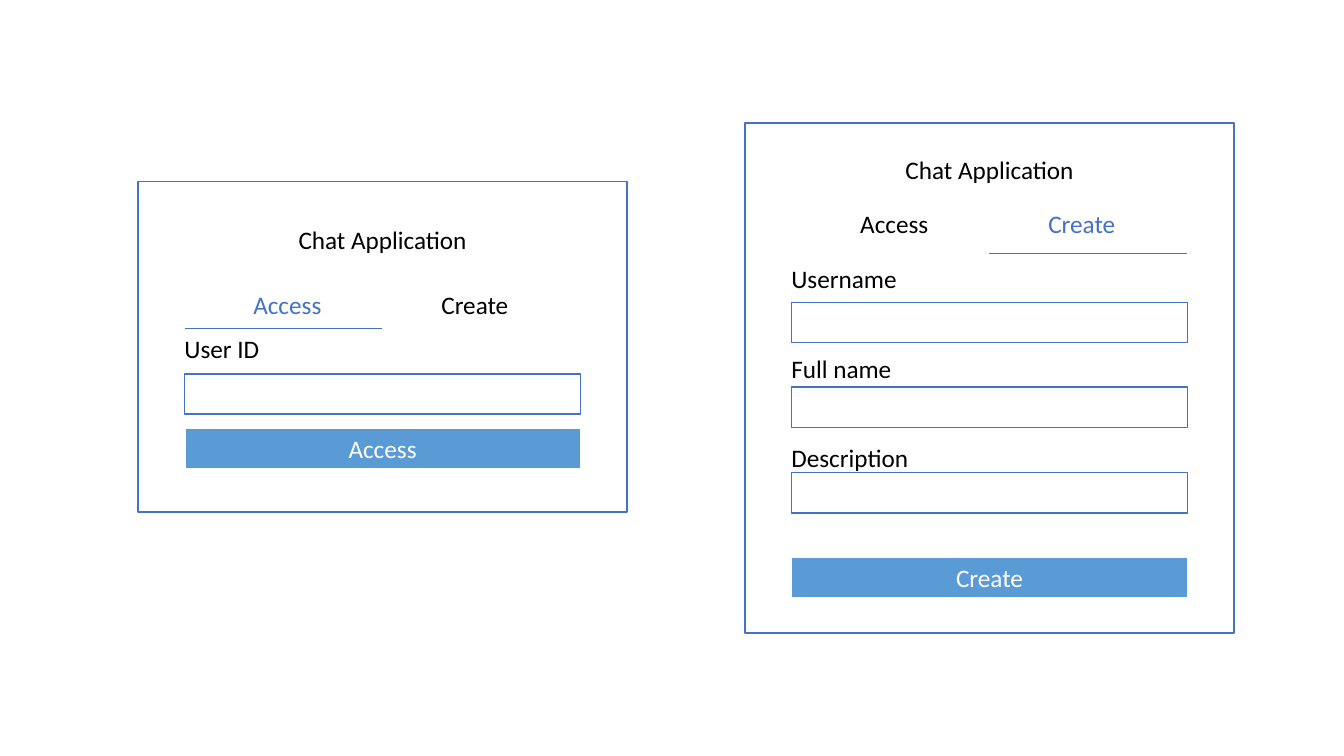
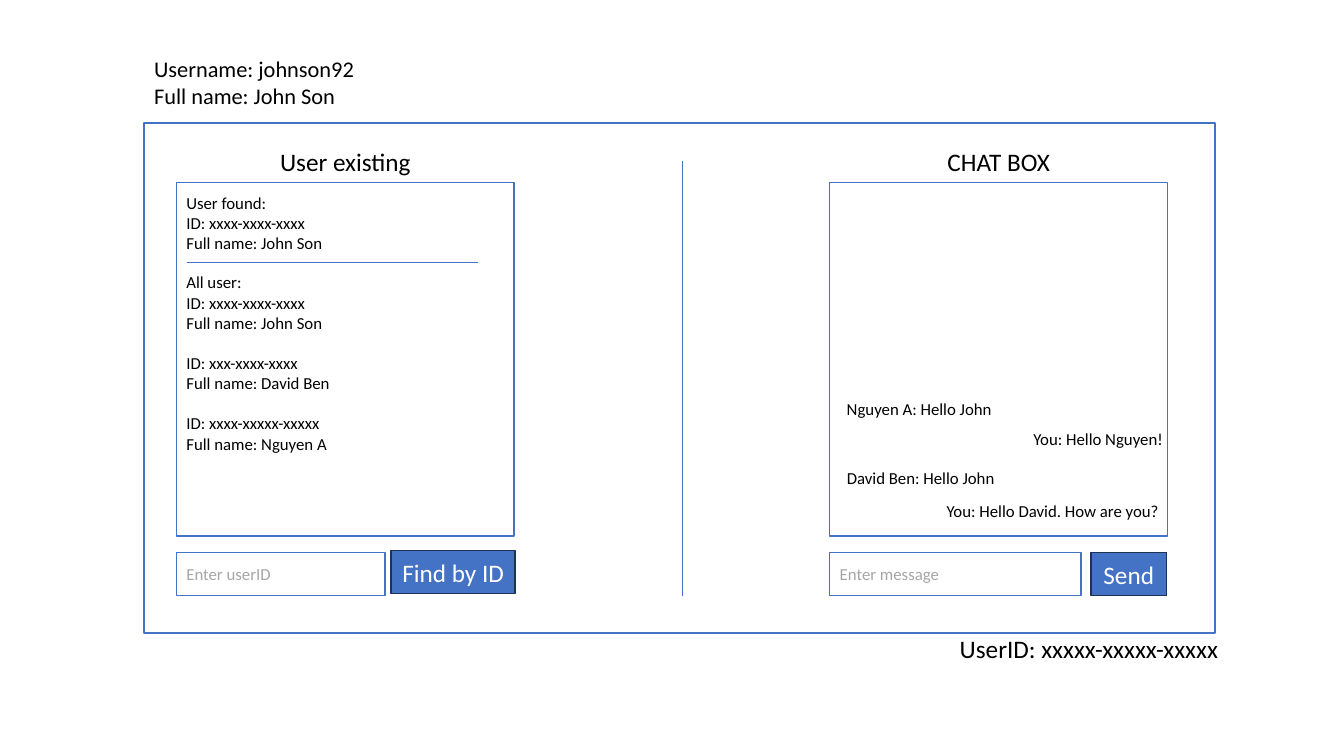
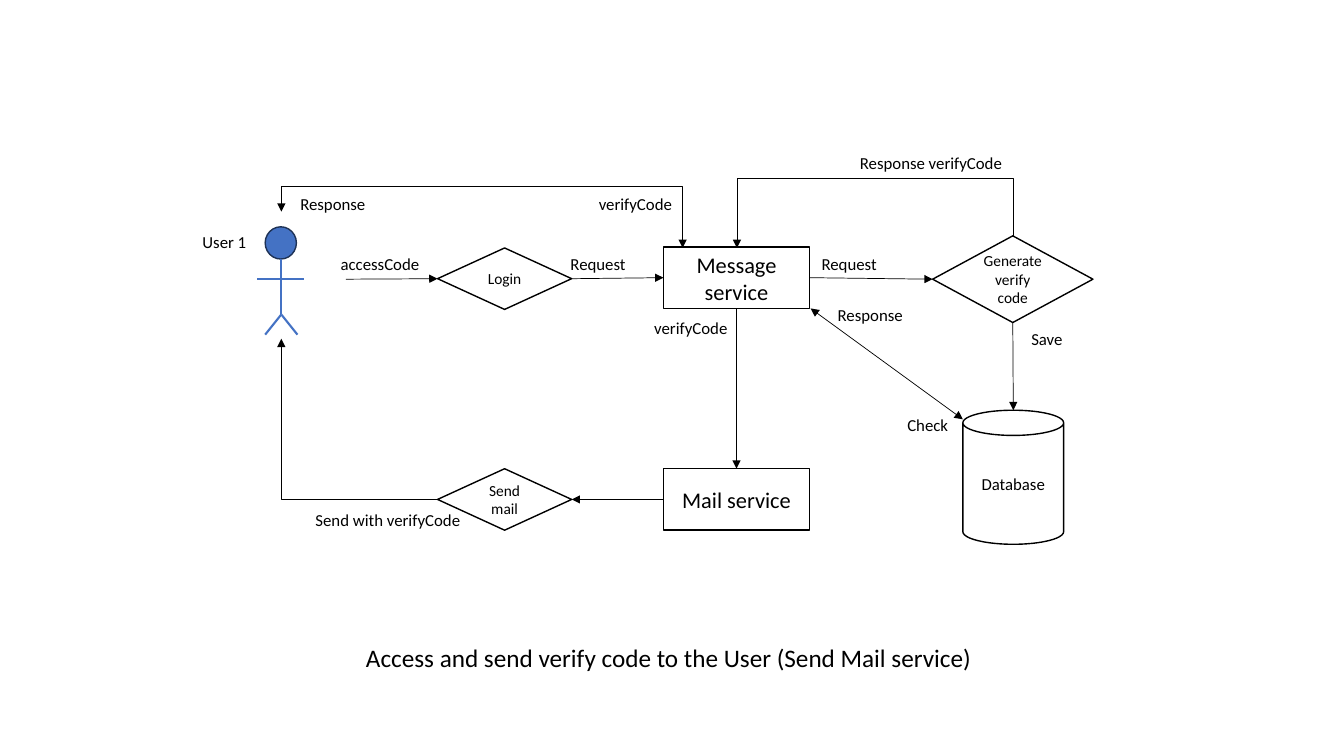
from dataclasses import dataclass

from lxml.etree import SubElement
from pptx import Presentation
from pptx.dml.color import RGBColor
from pptx.enum.shapes import MSO_CONNECTOR as Link, MSO_SHAPE as Preset
from pptx.enum.text import MSO_ANCHOR as Anchor, MSO_AUTO_SIZE as Fit, PP_ALIGN as Align
from pptx.oxml.ns import qn
from pptx.util import Inches, Pt

TOP, LEFT, BOTTOM, RIGHT = range(4)
BLANK, TITLE_ONLY = 6, 5


@dataclass(frozen=True)
class Theme:
    font: str = "Calibri"
    ink: str = "000000"
    paper: str = "FFFFFF"
    accent: str = "4472C4"
    accent_edge: str = "1E3256"
    action: str = "5B9BD5"
    hint: str = "A6A6A6"
    heading: int = 18
    node: int = 16
    note: int = 12
    small: int = 11
    thin: float = 0.5
    outline: float = 1
    thick: float = 1.5


def set_format(target, values):
    for name, value in values.items():
        setattr(target, name, value)


class Sketch:
    """Holds the theme and the slide being drawn."""

    def __init__(self, theme):
        self.theme = theme
        self.deck = Presentation()
        set_format(self.deck, {"slide_width": Inches(13.33), "slide_height": Inches(7.5)})
        self.slide = None

    def new_slide(self, layout=BLANK):
        self.slide = self.deck.slides.add_slide(self.deck.slide_layouts[layout])

    def set_text(self, frame, text, size, color, align):
        """One paragraph per line; an empty line becomes space before the next."""
        for block_index, block in enumerate(text.split("\n\n")):
            for line_index, line in enumerate(block.split("\n")):
                first = block_index == line_index == 0
                paragraph = frame.paragraphs[0] if first else frame.add_paragraph()
                paragraph.alignment = align
                if block_index and line_index == 0:
                    paragraph.space_before = Pt(size * 1.2)
                run = paragraph.add_run()
                run.text = line
                set_format(run.font, {"name": self.theme.font, "size": Pt(size)})
                run.font.color.rgb = RGBColor.from_string(color)

    def label(self, text, left, top, width, height=0.3, size=None, color=None,
              align=Align.LEFT, wrap=False):
        box = self.slide.shapes.add_textbox(*map(Inches, (left, top, width, height)))
        set_format(box.text_frame, {"word_wrap": wrap, "auto_size": Fit.SHAPE_TO_FIT_TEXT,
                                    "vertical_anchor": Anchor.TOP})
        self.set_text(box.text_frame, text, size or self.theme.note,
                      color or self.theme.ink, align)

    def heading(self, text, left, top, width, **style):
        self.label(text, left, top, width, 0.4, self.theme.heading, **style)

    def title(self, text, left, top, width, height):
        title = self.slide.shapes.title
        set_format(title, {"left": Inches(left), "top": Inches(top),
                           "width": Inches(width), "height": Inches(height)})
        set_format(title.text_frame, {"word_wrap": False, "auto_size": Fit.NONE,
                                      "vertical_anchor": Anchor.TOP})
        self.set_text(title.text_frame, text, self.theme.heading, self.theme.ink,
                      Align.LEFT)

    def box(self, left, top, width, height, text="", preset=Preset.RECTANGLE, fill=None,
            edge=None, weight=None, size=None, color=None, align=Align.CENTER, inset=0.1):
        theme = self.theme
        shape = self.slide.shapes.add_shape(preset, *map(Inches, (left, top, width, height)))
        shape.shadow.inherit = False
        shape.fill.solid()
        shape.fill.fore_color.rgb = RGBColor.from_string(fill or theme.paper)
        shape.line.color.rgb = RGBColor.from_string(edge or theme.accent)
        shape.line.width = Pt(weight or theme.outline)
        if text:
            set_format(shape.text_frame, {"word_wrap": True,
                                          "vertical_anchor": Anchor.MIDDLE,
                                          "margin_left": Inches(inset),
                                          "margin_right": Inches(inset)})
            self.set_text(shape.text_frame, text, size or theme.heading,
                          color or theme.paper, align)
        return shape

    def entry_field(self, left, top, width, height, hint):
        self.box(left, top, width, height, hint, size=self.theme.note,
                 color=self.theme.hint, align=Align.LEFT)

    def button(self, left, top, width, height, text):
        self.box(left, top, width, height, text, fill=self.theme.accent,
                 edge=self.theme.accent_edge, inset=0.05)

    def node(self, text, left, top, width, height, preset=Preset.RECTANGLE, size=None):
        return self.box(left, top, width, height, text, preset, edge=self.theme.ink,
                        size=size or self.theme.node, color=self.theme.ink)

    def finish_line(self, connector, color, weight, ends):
        connector.line.color.rgb = RGBColor.from_string(color)
        connector.line.width = Pt(weight)
        properties = connector._element.spPr
        for end in ends:
            SubElement(properties.find(qn("a:ln")), qn(f"a:{end}End"), type="triangle")
        SubElement(properties, qn("a:effectLst"))

    def line(self, start, end, color=None, weight=None, ends=()):
        connector = self.slide.shapes.add_connector(
            Link.STRAIGHT, *map(Inches, (*start, *end)))
        self.finish_line(connector, color or self.theme.accent,
                         weight or self.theme.thin, ends)
        return connector

    def arrow(self, start, end, source=None, target=None, ends=("tail",)):
        """source and target are (shape, side) pairs to join."""
        connector = self.line(start, end, self.theme.ink, ends=ends)
        if source:
            connector.begin_connect(*source)
        if target:
            connector.end_connect(*target)

    def elbow(self, left, top, width, height, preset, turn, flips="", bends=(),
              ends=("tail",)):
        connector = self.slide.shapes.add_connector(
            Link.ELBOW, *map(Inches, (left, top, left + width, top + height)))
        properties = connector._element.spPr
        frame = properties.find(qn("a:xfrm"))
        frame.set("rot", str(turn * 60000))
        for flip in flips:
            frame.set(f"flip{flip}", "1")
        geometry = properties.find(qn("a:prstGeom"))
        geometry.set("prst", preset)
        for number, bend in enumerate(bends, 1):
            SubElement(geometry.find(qn("a:avLst")), qn("a:gd"), name=f"adj{number}",
                       fmla=f"val {round(bend * 100000)}")
        self.finish_line(connector, self.theme.ink, self.theme.thin, ends)


# Slide 1: sign-in and sign-up cards
def form_card(sketch, left, top, height, title_top, tabs_top, rule_top, active, fields,
              button_top):
    theme = sketch.theme
    inner, inner_width, tab_step = left + 0.46, 3.93, 1.96
    sketch.box(left, top, 4.85, height)
    sketch.heading("Chat Application", inner, title_top, inner_width,
                   align=Align.CENTER, wrap=True)
    for index, tab in enumerate(("Access", "Create")):
        sketch.heading(tab, left + 0.56 + index * 1.86, tabs_top, 1.84, align=Align.CENTER,
                       wrap=True, color=theme.accent if tab == active else theme.ink)
        if tab == active:
            rule_left = inner + index * tab_step
            sketch.line((rule_left, rule_top), (rule_left + tab_step, rule_top))
    for caption, caption_top, caption_width, field_top in fields:
        sketch.box(inner, field_top, inner_width, 0.4)
        sketch.heading(caption, left + 0.36, caption_top, caption_width)
    sketch.box(inner, button_top, inner_width, 0.4, active, fill=theme.action,
               edge=theme.paper, weight=theme.thick)


def entry_slide(sketch):
    sketch.new_slide()
    form_card(sketch, 1.37, 1.8, 3.28, 2.18, 2.82, 3.26, "Access",
              [("User ID", 3.26, 0.95, 3.71)], 4.25)
    form_card(sketch, 7.39, 1.22, 5.06, 1.48, 2.02, 2.51, "Create",
              [("Username", 2.56, 1.26, 3), ("Full name", 3.46, 1.21, 3.84),
               ("Description", 4.34, 1.38, 4.69)], 5.53)


# Slide 2: chat window
def chat_slide(sketch):
    sketch.new_slide()
    sketch.box(1.43, 1.22, 10.62, 5.06)
    sketch.label("Username: johnson92\nFull name: John Son", 1.43, 0.5, 2.21, 0.64,
                 size=sketch.theme.node)
    sketch.heading("UserID: xxxxx-xxxxx-xxxxx", 9.42, 6.23, 2.81)
    sketch.line((6.77, 1.6), (6.77, 5.91))

    # Panels with their input fields
    for name, name_left, name_width, left, hint, hint_width in (
            ("User existing", 2.67, 1.51, 1.75, "Enter userID", 2.07),
            ("CHAT BOX", 9.29, 1.23, 8.23, "Enter message", 2.49)):
        sketch.heading(name, name_left, 1.4, name_width, align=Align.CENTER)
        sketch.box(left, 1.81, 3.35, 3.51)
        sketch.entry_field(left, 5.48, hint_width, 0.43, hint)
    sketch.button(3.88, 5.46, 1.23, 0.43, "Find by ID")
    sketch.button(10.82, 5.48, 0.75, 0.43, "Send")

    # Users
    sketch.label("User found:\nID: xxxx-xxxx-xxxx\nFull name: John Son",
                 1.75, 1.86, 1.57, 0.71)
    sketch.line((1.85, 2.6), (4.74, 2.6))
    sketch.label("All user:\nID: xxxx-xxxx-xxxx\nFull name: John Son\n\n"
                 "ID: xxx-xxxx-xxxx\nFull name: David Ben\n\n"
                 "ID: xxxx-xxxxx-xxxxx\nFull name: Nguyen A", 1.75, 2.65, 1.64, 1.92)

    # Messages
    for message, left, top, width in (
            ("Nguyen A: Hello John", 8.3, 3.91, 1.66),
            ("You: Hello Nguyen!", 10.15, 4.2, 1.5),
            ("David Ben: Hello John", 8.3, 4.59, 1.68),
            ("You: Hello David. How are you?", 9.29, 4.92, 2.33)):
        sketch.label(message, left, top, width)


# Slide 3: verification flow
def flow_slide(sketch):
    theme = sketch.theme
    sketch.new_slide(TITLE_ONLY)
    sketch.title("Access and send verify code to the User (Send Mail service)",
                 3.53, 6.32, 6.28, 0.4)

    # User figure
    sketch.box(2.63, 2.25, 0.31, 0.32, preset=Preset.OVAL, fill=theme.accent,
               edge=theme.accent_edge)
    hip = (2.79, 3.12)
    for start, end in (((2.79, 2.57), hip), (hip, (2.63, 3.32)), (hip, (2.95, 3.32)),
                       ((2.55, 2.77), (3.02, 2.77))):
        sketch.line(start, end, weight=theme.thick)

    # Steps and services
    message = sketch.node("Message service", 6.58, 2.45, 1.45, 0.61)
    mail = sketch.node("Mail service", 6.58, 4.65, 1.45, 0.61)
    login = sketch.node("Login", 4.34, 2.46, 1.33, 0.61, Preset.DIAMOND, theme.small)
    send = sketch.node("Send mail", 4.34, 4.65, 1.33, 0.61, Preset.DIAMOND, theme.small)
    generate = sketch.node("Generate verify code", 9.25, 2.34, 1.59, 0.86,
                           Preset.DIAMOND, theme.small)
    sketch.node("Database", 9.55, 4.07, 1, 1.33, Preset.CAN, theme.note)

    # Straight arrows
    sketch.arrow((3.43, 2.77), (4.34, 2.76), target=(login, LEFT))
    sketch.arrow((5.67, 2.77), (6.58, 2.76), (login, RIGHT), (message, LEFT))
    sketch.arrow((8.04, 2.76), (9.25, 2.77), (message, RIGHT), (generate, LEFT))
    sketch.arrow((7.31, 3.06), (7.31, 4.65), (message, BOTTOM), (mail, TOP))
    sketch.arrow((6.58, 4.95), (5.67, 4.95), (mail, LEFT), (send, RIGHT))
    sketch.arrow((10.05, 3.2), (10.05, 4.07), (generate, BOTTOM))
    sketch.arrow((8.04, 3.06), (9.55, 4.16), ends=("head", "tail"))

    # Bent arrows
    sketch.elbow(8.62, 1.03, 0.12, 2.74, "bentConnector3", 270, "HV", [-4.76])
    sketch.elbow(2.79, 3.36, 1.55, 1.59, "bentConnector2", 180)
    sketch.elbow(4.6, 0.29, 0.36, 3.98, "bentConnector4", 270, "H", [-0.69, 1],
                 ends=("head", "tail"))

    # Labels
    for text, left, top, width in (
            ("User 1", 1.91, 2.25, 0.64), ("accessCode", 3.28, 2.47, 0.99),
            ("Request", 5.56, 2.47, 0.75), ("Request", 8.05, 2.47, 0.75),
            ("Response verifyCode", 8.43, 1.47, 1.65), ("verifyCode", 6.39, 3.1, 0.93),
            ("Send with verifyCode", 3.03, 5.01, 1.65), ("verifyCode", 5.84, 1.87, 0.95),
            ("Response", 2.88, 1.87, 0.86), ("Response", 8.21, 2.97, 0.86),
            ("Check", 8.9, 4.07, 0.61), ("Save", 10.13, 3.21, 0.51)):
        sketch.label(text, left, top, width)


def main():
    sketch = Sketch(Theme())
    for draw in (entry_slide, chat_slide, flow_slide):
        draw(sketch)
    sketch.deck.save("out.pptx")


if __name__ == "__main__":
    main()
